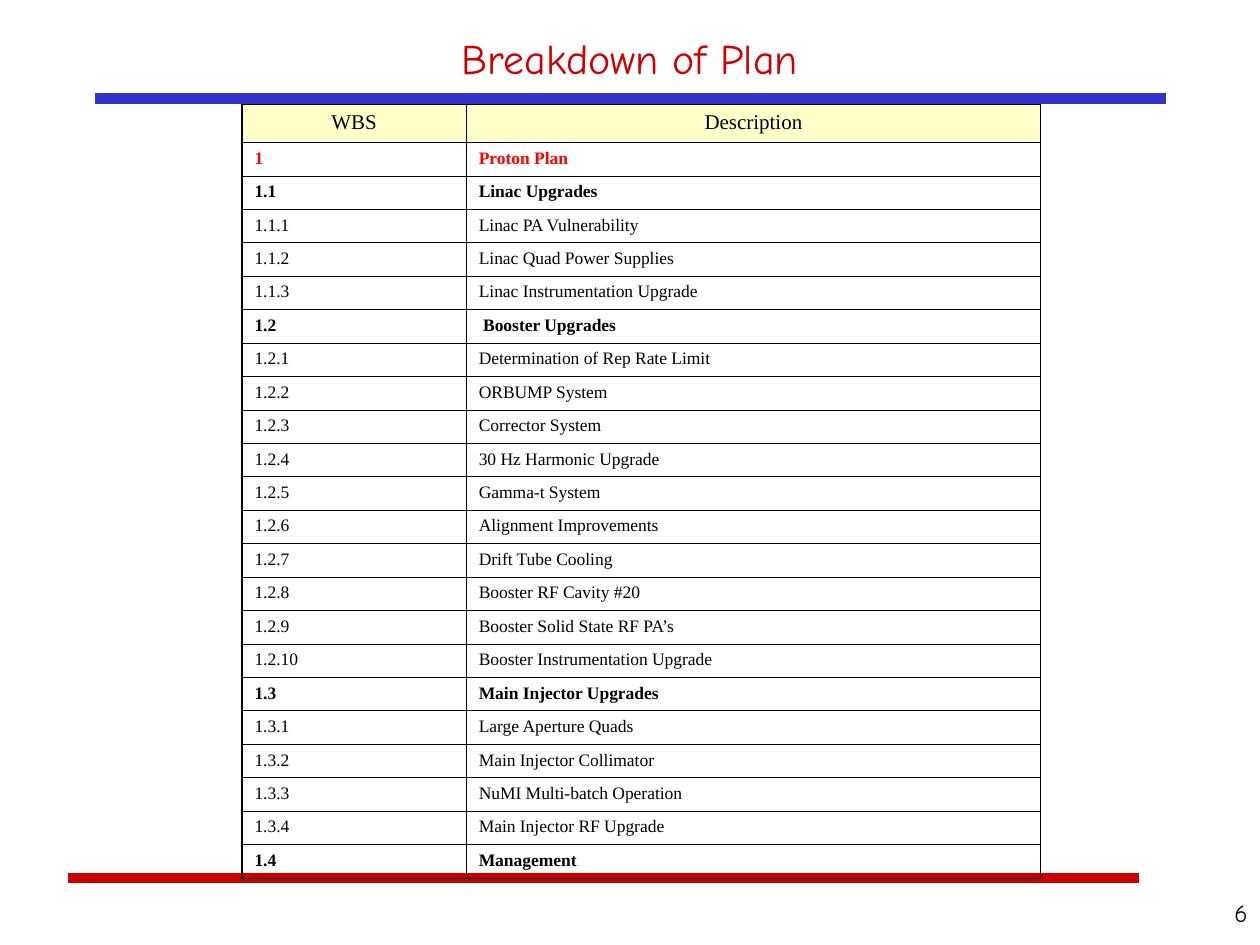
from dataclasses import dataclass

from lxml import etree
from pptx import Presentation
from pptx import util as u
from pptx.dml.color import RGBColor
from pptx.enum import shapes, text
from pptx.oxml import ns


@dataclass(frozen=True)
class Theme:
    red: str = "CC0000"
    blue: str = "3333CC"
    black: str = "000000"
    alert: str = "FF0000"
    cream: str = "FFFFCA"
    sans: str = "Comic Neue"
    serif: str = "Times New Roman"
    title: int = 24
    page: int = 14
    head: int = 12
    body: int = 10
    rule: int = 6
    edge: float = 0.96
    mid: float = 0.45
    thin: float = 0.34


ROWS = [
    ("WBS", "Description"),
    ("1", "Proton Plan"),
    ("1.1", "Linac Upgrades"),
    ("1.1.1", "Linac PA Vulnerability"),
    ("1.1.2", "Linac Quad Power Supplies"),
    ("1.1.3", "Linac Instrumentation Upgrade"),
    ("1.2", " Booster Upgrades"),
    ("1.2.1", "Determination of Rep Rate Limit"),
    ("1.2.2", "ORBUMP System"),
    ("1.2.3", "Corrector System"),
    ("1.2.4", "30 Hz Harmonic Upgrade"),
    ("1.2.5", "Gamma-t System"),
    ("1.2.6", "Alignment Improvements"),
    ("1.2.7", "Drift Tube Cooling"),
    ("1.2.8", "Booster RF Cavity #20"),
    ("1.2.9", "Booster Solid State RF PA’s"),
    ("1.2.10", "Booster Instrumentation Upgrade"),
    ("1.3", "Main Injector Upgrades"),
    ("1.3.1", "Large Aperture Quads"),
    ("1.3.2", "Main Injector Collimator"),
    ("1.3.3", "NuMI Multi-batch Operation"),
    ("1.3.4", "Main Injector RF Upgrade"),
    ("1.4", "Management"),
]


def write(frame, words, font, size, color, bold=False, align="LEFT", hang=0):
    par = frame.paragraphs[0]
    par.alignment = getattr(text.PP_ALIGN, align)
    if hang:
        props = par._p.get_or_add_pPr()
        props.set("marL", str(u.Inches(hang)))
        props.set("indent", str(-u.Inches(hang)))
    run = par.add_run()
    run.text = words
    run.font.name = font
    run.font.size = u.Pt(size)
    run.font.bold = bold
    run.font.color.rgb = RGBColor.from_string(color)


class Deck:
    """Holds the theme and the current slide, and draws each kind of element."""

    def __init__(self, theme):
        self.theme = theme
        self.prs = Presentation()
        self.prs.slide_width = u.Inches(10)
        self.prs.slide_height = u.Inches(7.5)
        self.slide = self.prs.slides.add_slide(self.prs.slide_layouts[5])

    def rule(self, left, top, width, color):
        x, y = u.Inches(left), u.Inches(top)
        line = self.slide.shapes.add_connector(
            shapes.MSO_CONNECTOR.STRAIGHT, x, y, x + u.Inches(width), y)
        line.line.color.rgb = RGBColor.from_string(color)
        line.line.width = u.Pt(self.theme.rule)
        etree.SubElement(line._element.spPr, ns.qn("a:effectLst"))

    def title(self, words, left, top, width, height):
        box = self.slide.shapes.title
        box.left, box.top = u.Inches(left), u.Inches(top)
        box.width, box.height = u.Inches(width), u.Inches(height)
        frame = box.text_frame
        frame.auto_size = text.MSO_AUTO_SIZE.NONE
        frame.vertical_anchor = text.MSO_ANCHOR.MIDDLE
        t = self.theme
        write(frame, words, t.sans, t.title, t.red, align="CENTER")

    def page(self, words, left, top, width, height):
        box = self.slide.shapes.add_textbox(
            u.Inches(left), u.Inches(top), u.Inches(width), u.Inches(height))
        box.text_frame.word_wrap = True
        t = self.theme
        write(box.text_frame, words, t.sans, t.page, t.black, align="RIGHT")

    def border(self, cell, **sides):
        props = cell._tc.get_or_add_tcPr()
        for side, width in sides.items():
            line = etree.SubElement(props, ns.qn(f"a:ln{side}"), w=str(u.Pt(width)))
            fill = etree.SubElement(line, ns.qn("a:solidFill"))
            etree.SubElement(fill, ns.qn("a:srgbClr"), val=self.theme.black)

    def cell(self, cell, words, row, col, last, bold):
        t = self.theme
        self.border(
            cell,
            L=t.mid if col else t.edge,
            R=t.edge if col else t.mid,
            T=t.mid if row < 2 else t.thin,
            B=t.mid if row in (0, last) else t.thin)
        cell.margin_left = cell.margin_right = u.Inches(0.1)
        cell.margin_top = cell.margin_bottom = u.Inches(0.05)
        if row == 0:
            cell.fill.solid()
            cell.fill.fore_color.rgb = RGBColor.from_string(t.cream)
            look = dict(size=t.head, color=t.black, align="CENTER")
        else:
            cell.fill.background()
            look = dict(size=t.body, color=t.alert if row == 1 else t.black, bold=bold)
        write(cell.text_frame, words, t.serif, hang=0.38, **look)

    def table(self, rows, left, top, height, widths, head):
        grid = self.slide.shapes.add_table(
            len(rows), len(widths), u.Inches(left), u.Inches(top),
            u.Inches(sum(widths)), u.Inches(height)).table
        grid.first_row = grid.horz_banding = False
        for col, width in zip(grid.columns, widths):
            col.width = u.Inches(width)
        last = len(rows) - 1
        for r, row in enumerate(rows):
            grid.rows[r].height = u.Inches((height - head) / last if r else head)
            bold = row[0].count(".") < 2
            for c, words in enumerate(row):
                self.cell(grid.cell(r, c), words, r, c, last, bold)


def main():
    theme = Theme()
    deck = Deck(theme)
    deck.rule(0.54, 6.97, 8.5, theme.red)
    deck.rule(0.75, 0.78, 8.5, theme.blue)
    deck.title("Breakdown of Plan", 0.75, 0.17, 8.5, 0.58)
    deck.table(ROWS, 1.92, 0.83, 6.14, (1.78, 4.56), head=0.3)
    deck.page("6", 9.08, 7.08, 0.92, 0.42)
    deck.prs.save("out.pptx")


if __name__ == "__main__":
    main()
